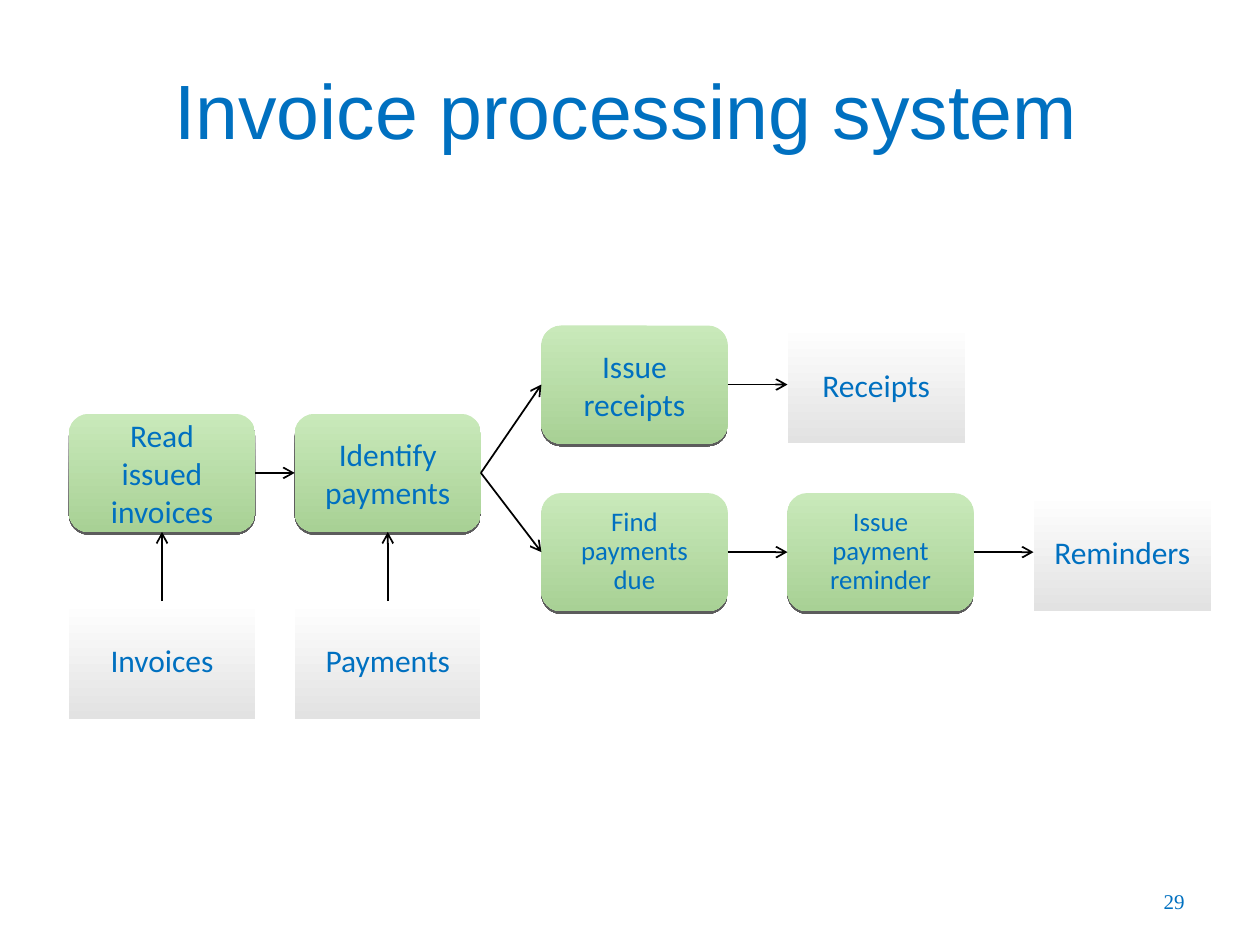
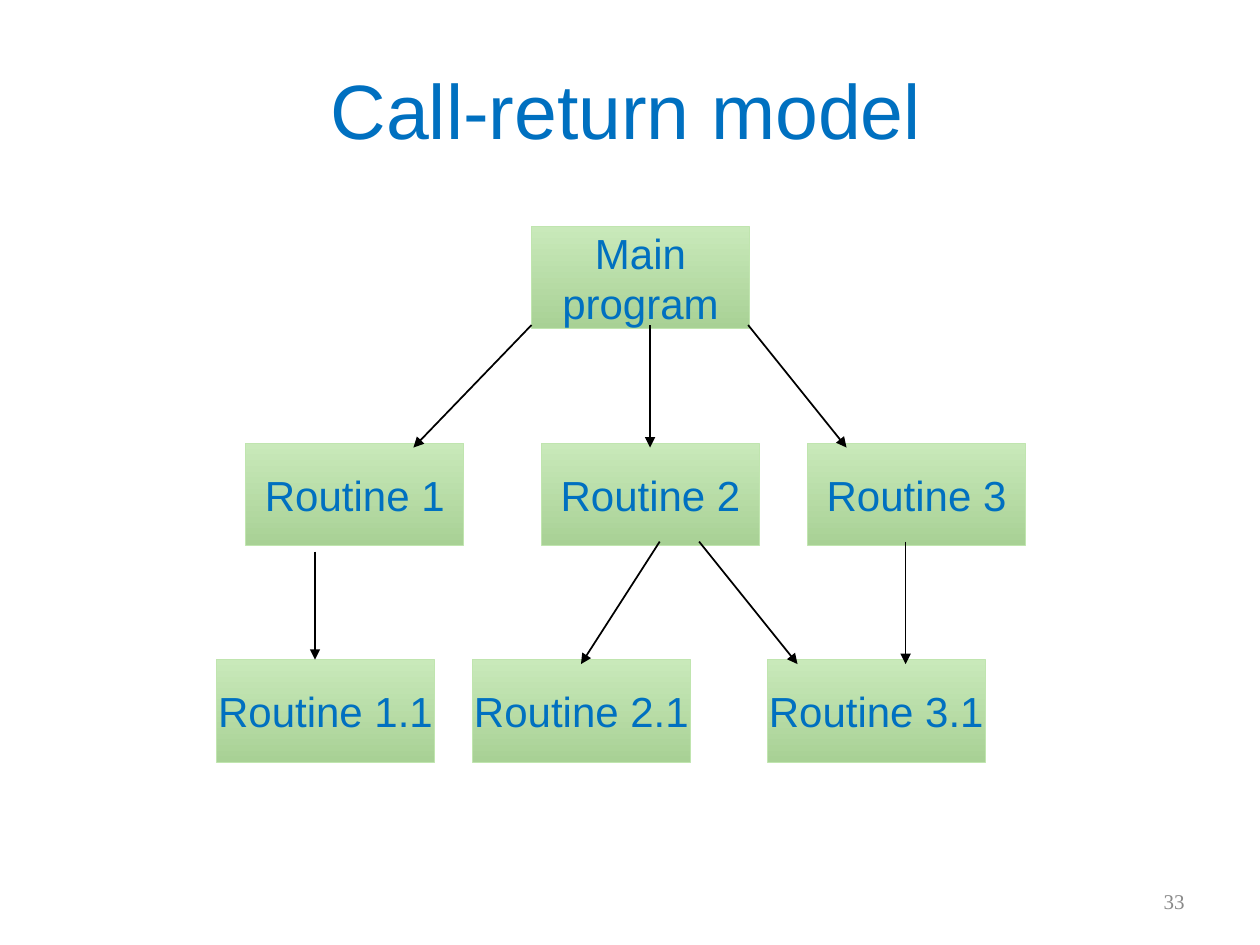
from lxml.etree import SubElement
from pptx import Presentation
from pptx.dml.color import RGBColor
from pptx.enum.shapes import MSO_CONNECTOR, MSO_SHAPE
from pptx.enum.text import MSO_ANCHOR, MSO_AUTO_SIZE, PP_ALIGN
from pptx.oxml.ns import qn
from pptx.util import Pt

BLUE = RGBColor(0x00, 0x70, 0xC0)
GREY = RGBColor(0x89, 0x89, 0x89)
BLACK = RGBColor(0x00, 0x00, 0x00)
WHITE = RGBColor(0xFF, 0xFF, 0xFF)
SILVER = RGBColor(0xE2, 0xE2, 0xE2)
LIGHT_GREEN = RGBColor(0xC9, 0xE9, 0xBA)
GREEN = RGBColor(0xA8, 0xD1, 0x95)
GREEN_EDGE = RGBColor(0xC0, 0xE5, 0xAF)

TITLE_BOX = (33.75, 16.9, 648, 90)
NUMBER_BOX = (516, 500.5, 168, 28.75)
FLOW_BOX = (39.4, 186)
CALL_BOX = (123.75, 129.5)

TITLE_FONT = {"name": "Arial", "size": Pt(44)}
NUMBER_FONT = {"name": "Times New Roman", "size": Pt(12)}
STEP_FONT = {"name": "Calibri", "size": Pt(18)}
SMALL_STEP_FONT = {"name": "Calibri", "size": Pt(15.3)}
ROUTINE_FONT = {"name": "Arial", "size": Pt(24)}

TOP, LEFT, BOTTOM, RIGHT = range(4)


def write(tf, text, font, color=BLUE, align=PP_ALIGN.CENTER, wrap=True, spacing=None):
    tf.text = text
    tf.auto_size = MSO_AUTO_SIZE.NONE
    tf.word_wrap = wrap
    tf.vertical_anchor = MSO_ANCHOR.MIDDLE
    for p in tf.paragraphs:
        p.alignment = align
        p.line_spacing = spacing
        for r in p.runs:
            for key, value in font.items():
                setattr(r.font, key, value)
            r.font.color.rgb = color


def add_slide(prs, title, number, number_color):
    s = prs.slides.add_slide(prs.slide_layouts[5])
    sp = s.shapes.title
    sp.left, sp.top, sp.width, sp.height = map(Pt, TITLE_BOX)
    write(sp.text_frame, title, TITLE_FONT)
    sp = s.shapes.add_textbox(*map(Pt, NUMBER_BOX))
    write(sp.text_frame, number, NUMBER_FONT, number_color, PP_ALIGN.RIGHT)
    return s


def add_block(s, kind, box, colors, edge=None):
    sp = s.shapes.add_shape(kind, *map(Pt, box))
    sp.shadow.inherit = False
    sp.fill.gradient()
    sp.fill.gradient_angle = 270
    for stop, position, color in zip(sp.fill.gradient_stops, (0, 1), colors):
        stop.position = position
        stop.color.rgb = color
    if edge is None:
        sp.line.fill.background()
    else:
        sp.line.color.rgb = edge
        sp.line.width = Pt(0.5)
    return sp


def drop_shadow(sp):
    effects = sp._element.spPr.find(qn("a:effectLst"))
    shadow = SubElement(effects, qn("a:outerShdw"), blurRad="0", dist=str(Pt(1.5)),
                        dir="5400000", rotWithShape="0")
    color = SubElement(shadow, qn("a:srgbClr"), val=str(BLACK))
    SubElement(color, qn("a:alpha"), val="63000")


def add_arrow(s, head, x1=0, y1=0, x2=0, y2=0):
    c = s.shapes.add_connector(MSO_CONNECTOR.STRAIGHT, Pt(x1), Pt(y1), Pt(x2), Pt(y2))
    c.line.color.rgb = BLACK
    c.line.width = Pt(1)
    spPr = c._element.spPr
    SubElement(spPr.find(qn("a:ln")), qn("a:tailEnd"), type=head)
    SubElement(spPr, qn("a:effectLst"))
    return c


def draw_flow(s, left, top):
    columns = [0, 129] + [270 + 140.6 * i for i in range(3)]
    rows = [0, 50.5, 95.75, 157.5]
    step_w, output_w, height = 106.4, 101.5, 67.5
    steps = [
        ("Read issued invoices", 0, 1, STEP_FONT, None),
        ("Identify payments", 1, 1, STEP_FONT, None),
        ("Issue receipts", 2, 0, STEP_FONT, None),
        ("Find payments due", 2, 2, SMALL_STEP_FONT, 0.9),
        ("Issue payment reminder", 3, 2, SMALL_STEP_FONT, 0.9),
    ]
    documents = [
        ("Receipts", 3, 0, output_w),
        ("Reminders", 4, 2, output_w),
        ("Invoices", 0, 3, step_w),
        ("Payments", 1, 3, step_w),
    ]
    links = [
        ("Invoices", TOP, "Read issued invoices", BOTTOM),
        ("Payments", TOP, "Identify payments", BOTTOM),
        ("Read issued invoices", RIGHT, "Identify payments", LEFT),
        ("Identify payments", RIGHT, "Issue receipts", LEFT),
        ("Identify payments", RIGHT, "Find payments due", LEFT),
        ("Issue receipts", RIGHT, "Receipts", LEFT),
        ("Find payments due", RIGHT, "Issue payment reminder", LEFT),
        ("Issue payment reminder", RIGHT, "Reminders", LEFT),
    ]
    blocks = {}
    for text, col, row, font, spacing in steps:
        box = (left + columns[col], top + rows[row], step_w, height)
        sp = add_block(s, MSO_SHAPE.ROUNDED_RECTANGLE, box, (LIGHT_GREEN, GREEN))
        drop_shadow(sp)
        write(sp.text_frame, text, font, spacing=spacing)
        blocks[text] = sp
    for text, col, row, width in documents:
        box = (left + columns[col], top + rows[row], width, height)
        sp = add_block(s, MSO_SHAPE.RECTANGLE, box, (WHITE, SILVER), WHITE)
        write(sp.text_frame, text, STEP_FONT)
        blocks[text] = sp
    for source, source_side, target, target_side in links:
        c = add_arrow(s, "arrow")
        c.begin_connect(blocks[source], source_side)
        c.end_connect(blocks[target], target_side)


def draw_calls(s, left, top):
    width, height, pitch = 124.5, 58.5, 123.75
    levels = [
        [("Main\nprogram", 180)],
        [("Routine 1", 16.75), ("Routine 2", 185.75), ("Routine 3", 337.75)],
        [("Routine 1.1", 0), ("Routine 2.1", 146.25), ("Routine 3.1", 314.75)],
    ]
    calls = [
        [(303.75, 360), (180, 112.5), (247.75, 247.75)],
        [(253.25, 208.25), (275.75, 332), (393.75, 393.75)],
    ]
    for level, routines in enumerate(levels):
        for text, x in routines:
            box = (left + x, top + level * pitch, width, height)
            sp = add_block(s, MSO_SHAPE.RECTANGLE, box, (LIGHT_GREEN, GREEN), GREEN_EDGE)
            write(sp.text_frame, text, ROUTINE_FONT, wrap=False)
    for level, pairs in enumerate(calls):
        y = top + level * pitch + 56.25
        for x1, x2 in pairs:
            add_arrow(s, "triangle", left + x1, y, left + x2, y + 70)
    add_arrow(s, "triangle", left + 56.25, top + 185.75, left + 56.25, top + 2 * pitch)


def main():
    prs = Presentation()
    prs.slide_width, prs.slide_height = Pt(720), Pt(540)
    draw_flow(add_slide(prs, "Invoice processing system", "29", BLUE), *FLOW_BOX)
    draw_calls(add_slide(prs, "Call-return model", "33", GREY), *CALL_BOX)
    prs.save("out.pptx")


if __name__ == "__main__":
    main()
